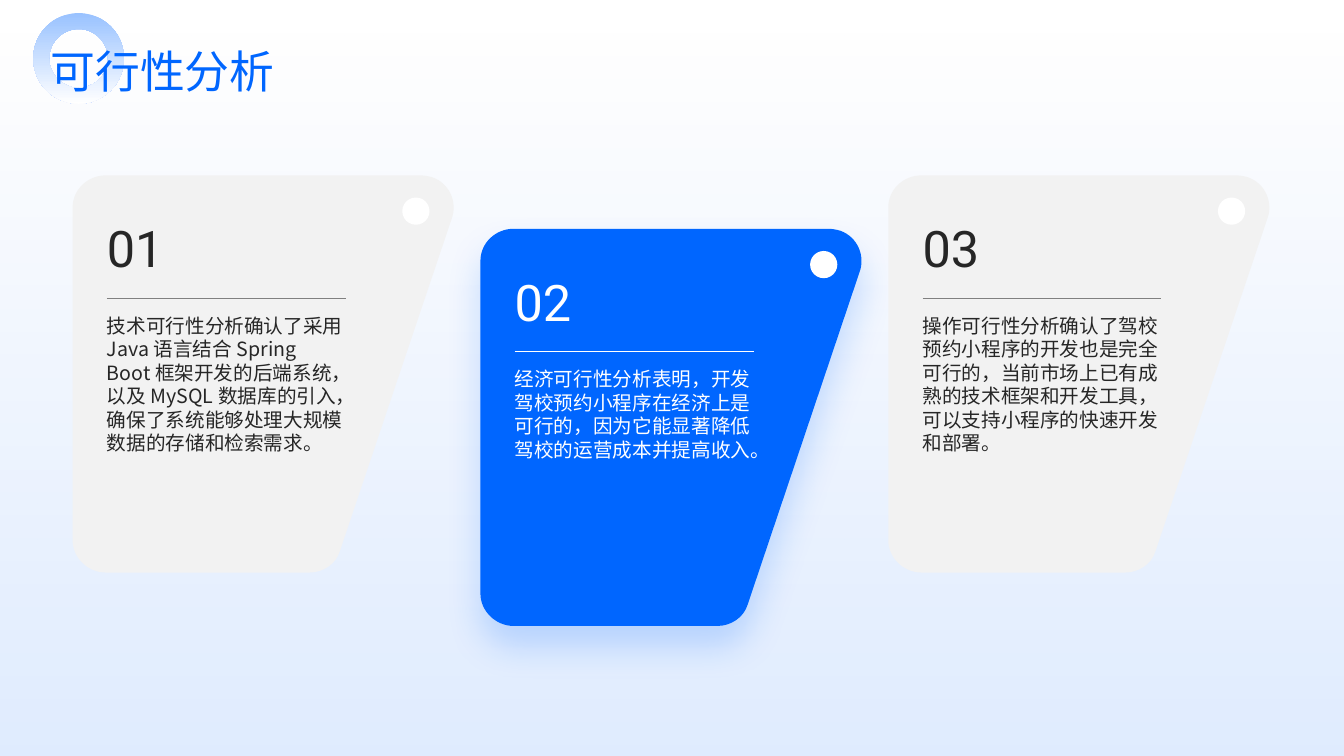
from dataclasses import dataclass

from lxml.etree import SubElement
from pptx import Presentation
from pptx.dml.color import RGBColor
from pptx.enum.shapes import MSO_CONNECTOR, MSO_SHAPE
from pptx.enum.text import MSO_ANCHOR, MSO_AUTO_SIZE, PP_ALIGN
from pptx.oxml.ns import qn
from pptx.util import Inches, Pt


@dataclass(frozen=True)
class Theme:
    """Hold the colours, fonts and type sizes."""
    blue: str = "0066FF"
    pale: str = "99C2FF"
    white: str = "FFFFFF"
    grey: str = "F2F2F2"
    rule: str = "808080"
    ink: str = "262626"
    sans: str = "Noto Sans CJK SC"
    digit: str = "Roboto"
    head: int = 32
    number: int = 36
    body: int = 14


THEME = Theme()
WIDE, HIGH = 13.33, 7.5
LEFT, RIGHT = 0.72, 8.81
STEP = (RIGHT - LEFT) / 2
SPAN = 3.78
START = (3.45, 0)
CORNERS = [
    [(0.33, 0), (0.15, 0), (0, 0.14), (0, 0.32)],
    [(0, 3.62), (0, 3.79), (0.15, 3.94), (0.33, 3.94)],
    [(2.35, 3.94), (2.48, 3.94), (2.61, 3.86), (2.65, 3.73)],
    [(3.76, 0.43), (3.82, 0.27), (3.74, 0.08), (3.57, 0.02)],
    [(3.54, 0.01), (3.49, 0), START],
]
CARDS = [
    (1.74, THEME.grey, THEME.ink, THEME.rule,
     "技术可行性分析确认了采用 Java 语言结合 Spring Boot 框架开发的后端系统，"
     "以及 MySQL 数据库的引入，确保了系统能够处理大规模数据的存储和检索需求。"),
    (2.27, THEME.blue, THEME.white, THEME.white,
     "经济可行性分析表明，开发驾校预约小程序在经济上是可行的，"
     "因为它能显著降低驾校的运营成本并提高收入。"),
    (1.74, THEME.grey, THEME.ink, THEME.rule,
     "操作可行性分析确认了驾校预约小程序的开发也是完全可行的，"
     "当前市场上已有成熟的技术框架和开发工具，可以支持小程序的快速开发和部署。"),
]


def paint(shape, color):
    """Give a shape a plain fill with no line or shadow."""
    shape.shadow.inherit = False
    shape.line.fill.background()
    shape.fill.solid()
    shape.fill.fore_color.rgb = RGBColor.from_string(color)


def fade(shape, *stops):
    """Give a shape a downward gradient of (colour, opacity) stops."""
    shape.shadow.inherit = False
    shape.line.fill.background()
    shape.fill.gradient()
    shape.fill.gradient_angle = 270
    for stop, (color, alpha) in zip(shape.fill.gradient_stops, stops):
        stop.color.rgb = RGBColor.from_string(color)
    marks = shape._element.spPr.iter(qn("a:srgbClr"))
    for mark, (color, alpha) in zip(marks, stops):
        if alpha < 100:
            SubElement(mark, qn("a:alpha"), val=str(alpha * 1000))


def glow(shape, color):
    """Cast a soft coloured shadow below a shape."""
    effects = shape._element.spPr.find(qn("a:effectLst"))
    cast = SubElement(effects, qn("a:outerShdw"), blurRad=str(Pt(25)),
                      dist=str(Pt(15)), dir="5400000", algn="t", rotWithShape="0")
    tint = SubElement(cast, qn("a:srgbClr"), val=color)
    SubElement(tint, qn("a:alpha"), val="20000")


def write(shape, text, size, face, color, anchor=MSO_ANCHOR.MIDDLE):
    """Put one left-aligned paragraph into a shape with no margins."""
    frame = shape.text_frame
    frame.word_wrap = True
    frame.auto_size = MSO_AUTO_SIZE.NONE
    frame.vertical_anchor = anchor
    frame.margin_left = frame.margin_right = 0
    frame.margin_top = frame.margin_bottom = 0
    frame.text = text
    para = frame.paragraphs[0]
    para.alignment = PP_ALIGN.LEFT
    para.font.size = Pt(size)
    para.font.color.rgb = RGBColor.from_string(color)
    para.font.name = face
    props = para._p.pPr.find(qn("a:defRPr"))
    SubElement(props, qn("a:ea"), typeface=face)


def label(slide, x, y, wide, high, *style):
    """Add a text box."""
    box = slide.shapes.add_textbox(Inches(x), Inches(y), Inches(wide), Inches(high))
    write(box, *style)


def stroke(slide, x, y, wide, color):
    """Add a thin level line."""
    line = slide.shapes.add_connector(
        MSO_CONNECTOR.STRAIGHT, Inches(x), Inches(y), Inches(x + wide), Inches(y))
    line.line.width = Pt(0.5)
    line.line.color.rgb = RGBColor.from_string(color)
    SubElement(line._element.spPr, qn("a:effectLst"))


def preset(slide, kind, x, y, wide, high):
    """Add a preset shape."""
    return slide.shapes.add_shape(kind, Inches(x), Inches(y), Inches(wide), Inches(high))


def bend(trace):
    """Turn the last three points of each corner into one cubic curve."""
    lines = iter(trace.findall(qn("a:lnTo")))
    for corner in CORNERS:
        group = [next(lines) for point in corner][-3:]
        curve = group[0]
        curve.tag = qn("a:cubicBezTo")
        for line in group[1:]:
            curve.append(line[0])
            trace.remove(line)


def panel(slide, x, y, color):
    """Add the slanted card with round corners."""
    points = [(Inches(x + dx), Inches(y + dy)) for corner in CORNERS for dx, dy in corner]
    pen = slide.shapes.build_freeform(Inches(x + START[0]), Inches(y + START[1]))
    pen.add_line_segments(points, close=True)
    shape = pen.convert_to_shape()
    trace = next(shape._element.spPr.iter(qn("a:path")))
    bend(trace)
    shape.width = Inches(SPAN)
    trace.set("w", str(Inches(SPAN)))
    paint(shape, color)
    return shape


def card(slide, index, y, color, ink, rule, text):
    """Add one numbered card with its line, text and dot."""
    x = LEFT + index * STEP
    shape = panel(slide, x, y, color)
    if color == THEME.blue:
        glow(shape, color)
    label(slide, x + 0.34, y + 0.44, 0.94, 0.55,
          f"{index + 1:02}", THEME.number, THEME.digit, ink)
    label(slide, x + 0.34, y + 1.37, 2.36, 2.09,
          text, THEME.body, THEME.sans, ink, MSO_ANCHOR.TOP)
    stroke(slide, x + 0.34, y + 1.22, 2.37, rule)
    paint(preset(slide, MSO_SHAPE.OVAL, x + 3.27, y + 0.22, 0.27, 0.27), THEME.white)


def header(slide, text):
    """Place the ring and the title over it."""
    ring = preset(slide, MSO_SHAPE.DONUT, 0.33, 0.13, 0.9, 0.9)
    ring.adjustments[0] = 0.176
    fade(ring, (THEME.pale, 100), (THEME.white, 100))
    title = slide.shapes.title
    title.left, title.top = Inches(0.5), Inches(0.47)
    title.width, title.height = Inches(11.32), Inches(0.47)
    write(title, text, THEME.head, THEME.sans, THEME.blue)
    slide.shapes._spTree.append(title._element)


def main():
    """Build and save the slide."""
    deck = Presentation()
    deck.slide_width, deck.slide_height = Inches(WIDE), Inches(HIGH)
    slide = deck.slides.add_slide(deck.slide_layouts[5])
    back = preset(slide, MSO_SHAPE.RECTANGLE, 0, 0, WIDE, HIGH)
    fade(back, (THEME.blue, 0), (THEME.blue, 13))
    for index, content in enumerate(CARDS):
        card(slide, index, *content)
    header(slide, "可行性分析")
    deck.save("out.pptx")


if __name__ == "__main__":
    main()
